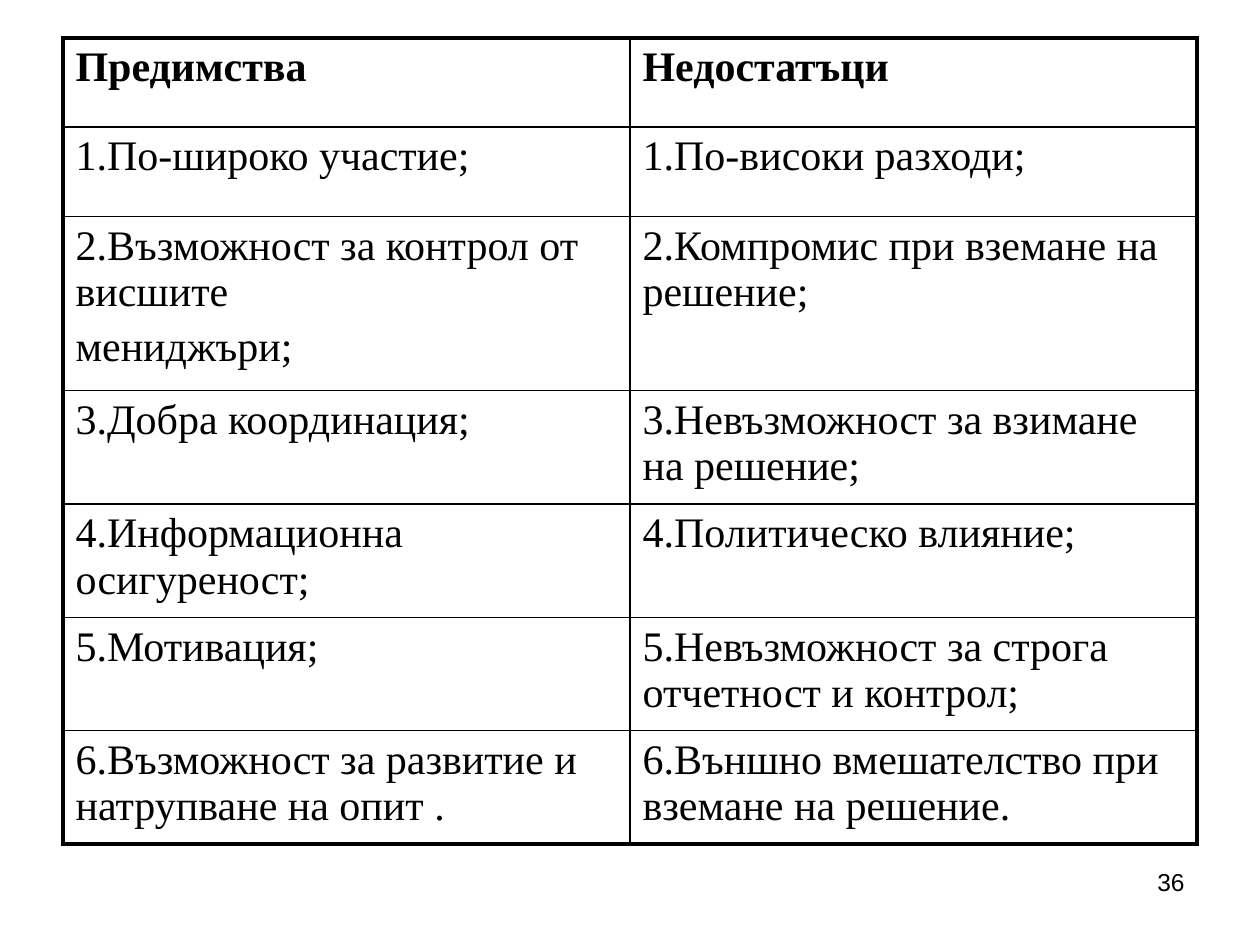
from lxml import etree
from pptx import Presentation
from pptx.dml.color import RGBColor
from pptx.enum import text
from pptx.oxml import ns
from pptx.util import Inches, Pt

COLORS = {"ink": "000000"}
ROWS = [
    (0.71, ["Предимства"], ["Недостатъци"]),
    (0.71, ["1.По-широко участие;"], ["1.По-високи разходи;"]),
    (1.38, ["2.Възможност за контрол от висшите", "мениджъри;"],
     ["2.Компромис при вземане на решение;"]),
    (0.9, ["3.Добра координация;"], ["3.Невъзможност за взимане на решение;"]),
    (0.9, ["4.Информационна осигуреност;"], ["4.Политическо влияние;"]),
    (0.9, ["5.Мотивация;"], ["5.Невъзможност за строга отчетност и контрол;"]),
    (0.9, ["6.Възможност за развитие и натрупване на опит ."],
     ["6.Външно вмешателство при вземане на решение."]),
]


class SlideBuilder:
    body_font = "Times New Roman"
    number_font = "Arial"
    inner_line = 1
    outer_line = 2.25

    def __init__(self, page):
        self.page = page

    def add_lines(self, frame, lines, font, size, bold=False, align=text.PP_ALIGN.LEFT, before=0):
        frame.word_wrap = True
        for index, line in enumerate(lines):
            para = frame.add_paragraph() if index else frame.paragraphs[0]
            para.alignment = align
            para.space_before = Pt(before)
            span = para.add_run()
            span.text = line
            span.font.name = font
            span.font.size = Pt(size)
            span.font.bold = bold
            span.font.color.rgb = RGBColor.from_string(COLORS["ink"])

    def border(self, cell, side, width):
        properties = cell._tc.get_or_add_tcPr()
        line = etree.SubElement(properties, ns.qn(f"a:ln{side}"), w=str(Pt(width)))
        fill = etree.SubElement(line, ns.qn("a:solidFill"))
        etree.SubElement(fill, ns.qn("a:srgbClr"), val=COLORS["ink"])

    def table(self, left, top, width, rows):
        columns = len(rows[0]) - 1
        height = sum(row[0] for row in rows)
        grid = self.page.shapes.add_table(
            len(rows), columns, Inches(left), Inches(top), Inches(width), Inches(height)).table
        grid.first_row = False
        grid.horz_banding = False
        for column in grid.columns:
            column.width = Inches(width / columns)
        for r, (row_height, *entries) in enumerate(rows):
            grid.rows[r].height = Inches(row_height)
            for c, lines in enumerate(entries):
                cell = grid.cell(r, c)
                self.add_lines(cell.text_frame, lines, self.body_font, 24, bold=r == 0, before=4.8)
                outer = {"L": c == 0, "R": c == columns - 1, "T": r == 0, "B": r == len(rows) - 1}
                for side, is_outer in outer.items():
                    self.border(cell, side, self.outer_line if is_outer else self.inner_line)
                cell.fill.background()

    def page_number(self, left, top, width, height, number):
        box = self.page.shapes.add_textbox(Inches(left), Inches(top), Inches(width), Inches(height))
        self.add_lines(box.text_frame, [number], self.number_font, 14, align=text.PP_ALIGN.RIGHT)


def main():
    deck = Presentation()
    deck.slide_width = Inches(10)
    deck.slide_height = Inches(7.5)
    builder = SlideBuilder(deck.slides.add_slide(deck.slide_layouts[6]))
    builder.table(0.5, 0.3, 9, ROWS)
    builder.page_number(7.17, 6.83, 2.33, 0.52, "36")
    deck.save("out.pptx")


if __name__ == "__main__":
    main()
